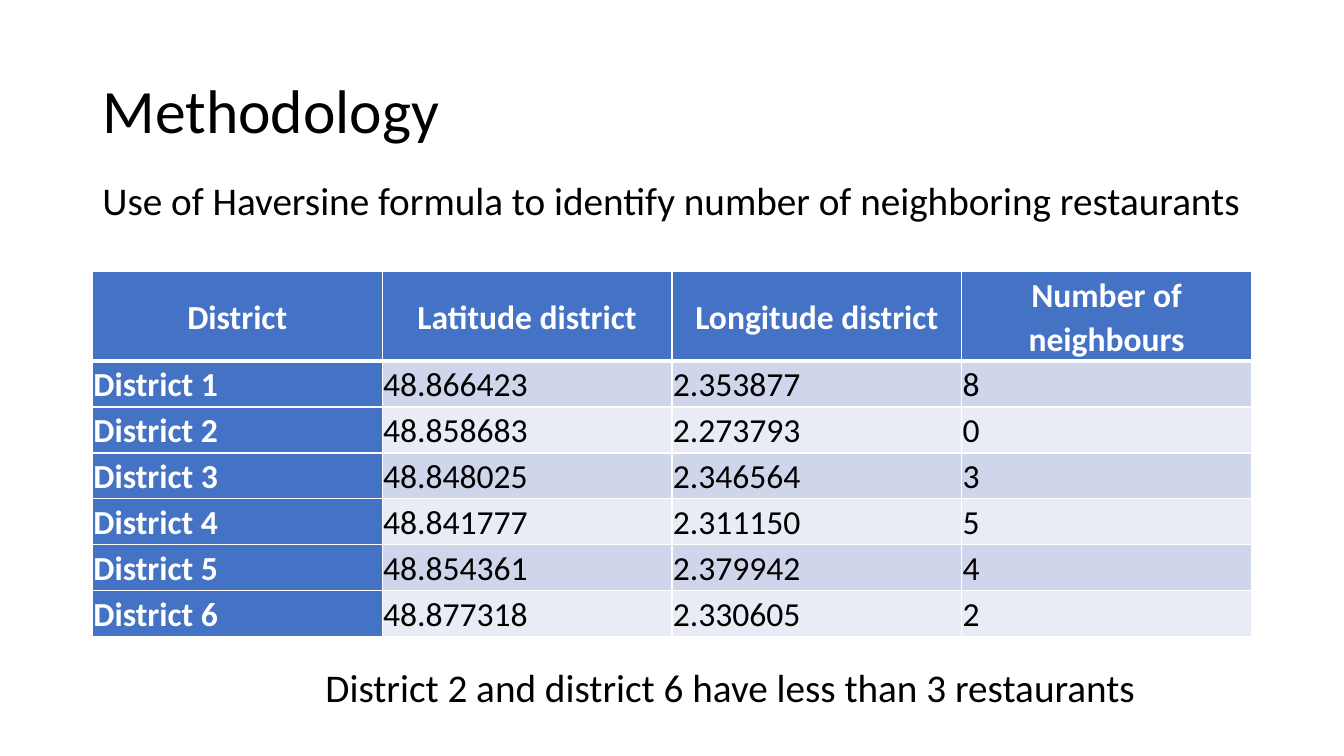
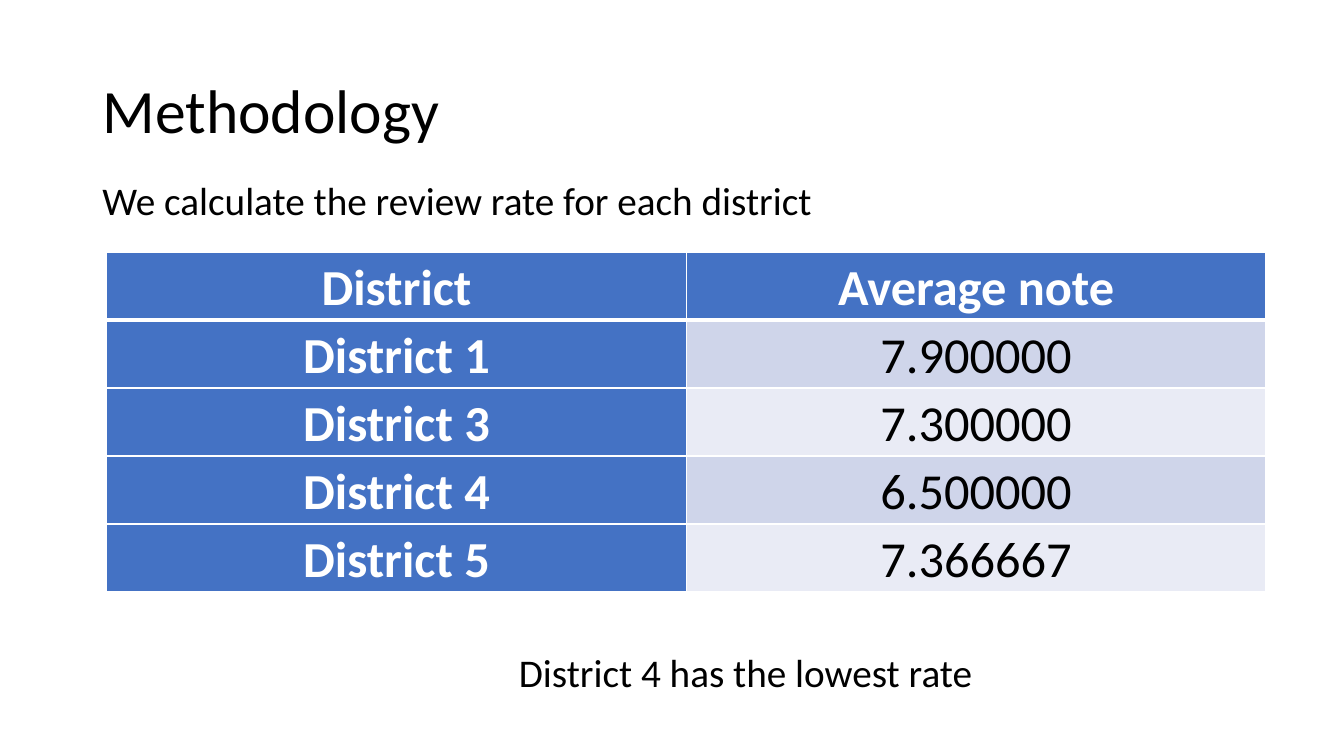
from lxml import etree
from pptx import Presentation
from pptx.dml.color import RGBColor
from pptx.enum import text
from pptx.oxml.ns import qn
from pptx.util import Pt

COLORS = {"ink": "000000", "white": "FFFFFF", "head": "4472C4",
          "odd": "CFD5EA", "even": "E9EBF5"}
FONT = "Calibri"
LEFT, CENTER = text.PP_ALIGN.LEFT, text.PP_ALIGN.CENTER
TITLE_FRAME = {"left": 66, "top": 28.8, "width": 828, "height": 104.4}
BODY_FRAME = {"left": 66, "top": 126, "width": 916.6, "height": 342.7}
TITLE_FORMAT = {"alignment": LEFT, "line_spacing": 0.9, "space_before": Pt(0)}
BODY_FORMAT = {"alignment": LEFT, "line_spacing": 0.9, "space_before": Pt(10)}
CELL_FORMAT = {"line_spacing": 1.07, "space_after": Pt(8)}
CELL_MARGINS = ("margin_left", "margin_top", "margin_right", "margin_bottom")

PAGES = [
    {
        "lead": "Use of Haversine formula to identify number of neighboring restaurants",
        "table_at": (66, 193.9), "size": 24, "align": LEFT,
        "head_height": 63.6, "row_height": 32.6,
        "rows": [
            ("District", "Latitude district", "Longitude district", "Number of neighbours"),
            ("District 1", "48.866423", "2.353877", "8"),
            ("District 2", "48.858683", "2.273793", "0"),
            ("District 3", "48.848025", "2.346564", "3"),
            ("District 4", "48.841777", "2.311150", "5"),
            ("District 5", "48.854361", "2.379942", "4"),
            ("District 6", "48.877318", "2.330605", "2"),
        ],
        "note": "District 2 and district 6 have less than 3 restaurants",
        "note_at": (225.4, 470.2, 610.6, 41),
    },
    {
        "lead": "We calculate the review rate for each district",
        "table_at": (76.3, 180), "size": 36, "align": CENTER,
        "head_height": 48.5, "row_height": 48.5,
        "rows": [
            ("District", "Average note"),
            ("District 1", "7.900000"),
            ("District 3", "7.300000"),
            ("District 4", "6.500000"),
            ("District 5", "7.366667"),
        ],
        "note": "District 4 has the lowest rate",
        "note_at": (363.6, 459.4, 421.2, 41),
    },
]


def write(frame, words, size, color="ink", bold=False, **formats):
    para = frame.paragraphs[0]
    for name, value in formats.items():
        setattr(para, name, value)
    span = para.add_run()
    span.text = words
    span.font.name, span.font.size, span.font.bold = FONT, Pt(size), bold
    span.font.color.rgb = RGBColor.from_string(COLORS[color])
    return para


def add_borders(cell, widths):
    """Draw white cell edges; widths maps L, R, T and B to points."""
    properties = cell._tc.get_or_add_tcPr()
    for side, width in widths.items():
        line = etree.SubElement(properties, qn(f"a:ln{side}"), w=str(Pt(width)))
        fill = etree.SubElement(line, qn("a:solidFill"))
        etree.SubElement(fill, qn("a:srgbClr"), val=COLORS["white"])


deck = Presentation()
deck.slide_width, deck.slide_height = Pt(960), Pt(540)
layout = deck.slide_layouts[1]
for holder, frame in zip(layout.placeholders, (TITLE_FRAME, BODY_FRAME)):
    for name, value in frame.items():
        setattr(holder, name, Pt(value))

for content in PAGES:
    page = deck.slides.add_slide(layout)
    title, body = page.shapes.title, page.placeholders[1]
    for holder in (title, body):
        holder.text_frame.auto_size = text.MSO_AUTO_SIZE.NONE
    title.text_frame.vertical_anchor = text.MSO_ANCHOR.MIDDLE
    write(title.text_frame, "Methodology", 44, **TITLE_FORMAT)
    lead = write(body.text_frame, content["lead"], 28, **BODY_FORMAT)
    lead_properties = lead._p.get_or_add_pPr()
    for name in ("marL", "indent"):
        lead_properties.set(name, "0")
    etree.SubElement(lead_properties, qn("a:buNone"))

    rows = content["rows"]
    left, top = content["table_at"]
    height = content["head_height"] + content["row_height"] * (len(rows) - 1)
    table = page.shapes.add_table(len(rows), len(rows[0]), Pt(left), Pt(top),
                                  Pt(828), Pt(height)).table
    table.first_col = True
    for r, row in enumerate(rows):
        table.rows[r].height = Pt(content["row_height" if r else "head_height"])
        for c, words in enumerate(row):
            cell = table.cell(r, c)
            for margin in CELL_MARGINS:
                setattr(cell, margin, Pt(0.72))
            cell.vertical_anchor = text.MSO_ANCHOR.MIDDLE
            add_borders(cell, {"L": 1, "R": 1, "T": 3 if r == 1 else 1,
                               "B": 3 if r == 0 else 1})
            heading = r == 0 or c == 0
            fill = "head" if heading else "odd" if r % 2 else "even"
            cell.fill.solid()
            cell.fill.fore_color.rgb = RGBColor.from_string(COLORS[fill])
            write(cell.text_frame, words, content["size"],
                  "white" if heading else "ink", heading,
                  alignment=content["align"] if r else CENTER, **CELL_FORMAT)

    note = page.shapes.add_textbox(*map(Pt, content["note_at"])).text_frame
    note.word_wrap = True
    note.auto_size = text.MSO_AUTO_SIZE.SHAPE_TO_FIT_TEXT
    write(note, content["note"], 28)

deck.save("out.pptx")
